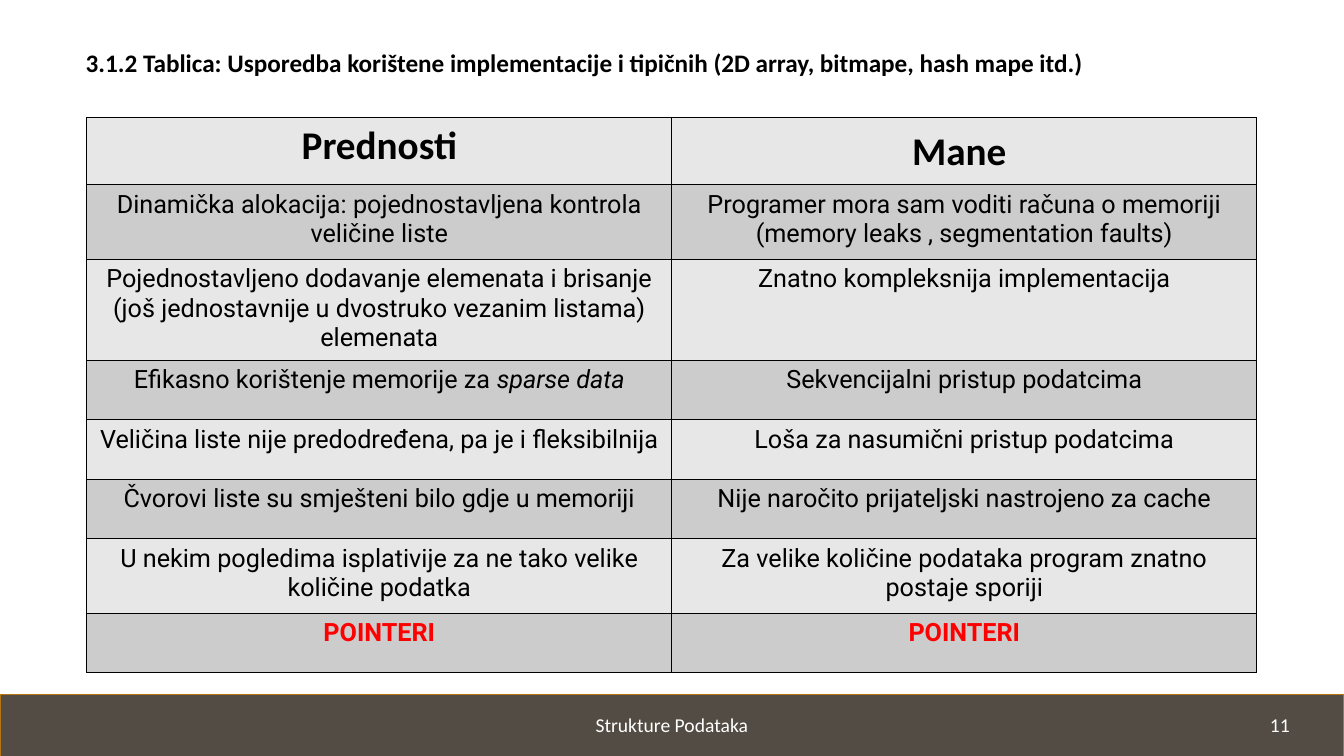
from pptx import Presentation
from pptx.dml.color import RGBColor
from pptx.enum.shapes import MSO_SHAPE
from pptx.enum.text import MSO_ANCHOR, PP_ALIGN
from pptx.oxml import parse_xml
from pptx.oxml.ns import nsdecls
from pptx.util import Pt

TITLE = "3.1.2 Tablica: Usporedba korištene implementacije i tipičnih (2D array, bitmape, hash mape itd.)"
HEADERS = ["Prednosti", "Mane"]
COMPARISON = [
    ("Dinamička alokacija: pojednostavljena kontrola veličine liste",
     "Programer mora sam voditi računa o memoriji\n(memory leaks , segmentation faults)"),
    ("Pojednostavljeno dodavanje elemenata i brisanje (još jednostavnije u dvostruko vezanim listama) elemenata",
     "Znatno kompleksnija implementacija"),
    ("Efikasno korištenje memorije za ", "Sekvencijalni pristup podatcima"),
    ("Veličina liste nije predodređena, pa je i fleksibilnija",
     "Loša za nasumični pristup podatcima"),
    ("Čvorovi liste su smješteni bilo gdje u memoriji",
     "Nije naročito prijateljski nastrojeno za cache"),
    ("U nekim pogledima isplativije za ne tako velike količine podatka",
     "Za velike količine podataka program znatno postaje sporiji"),
    ("POINTERI", "POINTERI"),
]
ITALIC_ENDING = "sparse data"
ITALIC_ROW = 3
ROW_HEIGHTS = [48, 53.3, 53.3, 42.5, 42.5, 42.5, 53.3, 42.5]
COLUMN_WIDTH = 417.9
FILLS = ["E7E7E7", "CCCCCC"]
FOOTERS = [("Strukture Podataka", 412, 136, PP_ALIGN.CENTER),
           ("11", 900, 47, PP_ALIGN.LEFT)]


def color(value):
    return RGBColor.from_string(value)


def format_paragraph(para, font, size, tint, bold=False, align=PP_ALIGN.CENTER):
    para.alignment = align
    para.font.name = font
    para.font.size = Pt(size)
    para.font.bold = bold
    para.font.color.rgb = color(tint)


def add_borders(cell):
    properties = cell._tc.get_or_add_tcPr()
    for side in ("lnL", "lnR", "lnT", "lnB"):
        properties.append(parse_xml(
            f'<a:{side} {nsdecls("a")} w="{Pt(1)}"><a:solidFill>'
            f'<a:srgbClr val="000000"/></a:solidFill></a:{side}>'))


def add_title(page):
    title = page.shapes.title
    title.left, title.top, title.width, title.height = Pt(54), Pt(30.5), Pt(886), Pt(29)
    title.text = TITLE
    title.text_frame.vertical_anchor = MSO_ANCHOR.TOP
    para = title.text_frame.paragraphs[0]
    para.line_spacing = 1.0
    format_paragraph(para, "Calibri", 18, "000000", True, PP_ALIGN.LEFT)


def add_comparison(page):
    rows = [HEADERS] + COMPARISON
    table = page.shapes.add_table(len(rows), 2, Pt(62), Pt(84), Pt(2 * COLUMN_WIDTH),
                                  Pt(sum(ROW_HEIGHTS))).table
    for column in table.columns:
        column.width = Pt(COLUMN_WIDTH)
    for index, (texts, height) in enumerate(zip(rows, ROW_HEIGHTS)):
        table.rows[index].height = Pt(height)
        header, last = index == 0, index == len(rows) - 1
        for cell, text in zip(table.rows[index].cells, texts):
            add_borders(cell)
            cell.fill.solid()
            cell.fill.fore_color.rgb = color(FILLS[index % 2])
            cell.text = text
            for para in cell.text_frame.paragraphs:
                format_paragraph(para, "Calibri" if header else "Roboto", 28 if header else 18,
                                 "FF0000" if last else "000000", header or last)
    space = table.cell(0, 1).text_frame.paragraphs[0].add_run()
    space.text = " "
    space.font.size = Pt(32)
    ending = table.cell(ITALIC_ROW, 0).text_frame.paragraphs[0].add_run()
    ending.text = ITALIC_ENDING
    ending.font.italic = True


def add_footer(page):
    bar = page.shapes.add_shape(MSO_SHAPE.RECTANGLE, 0, Pt(496), Pt(960), Pt(45))
    bar.shadow.inherit = False
    bar.fill.solid()
    bar.fill.fore_color.rgb = color("524C44")
    bar.line.color.rgb = color("B57612")
    bar.line.width = Pt(1)
    for text, left, width, align in FOOTERS:
        box = page.shapes.add_textbox(Pt(left), Pt(505.5), Pt(width), Pt(24.5))
        box.text_frame.word_wrap = True
        box.text_frame.text = text
        format_paragraph(box.text_frame.paragraphs[0], "Calibri", 14, "FFFFFF", align=align)


def main():
    deck = Presentation()
    deck.slide_width, deck.slide_height = Pt(960), Pt(540)
    page = deck.slides.add_slide(deck.slide_layouts[5])
    add_footer(page)
    add_comparison(page)
    add_title(page)
    deck.save("out.pptx")


if __name__ == "__main__":
    main()
